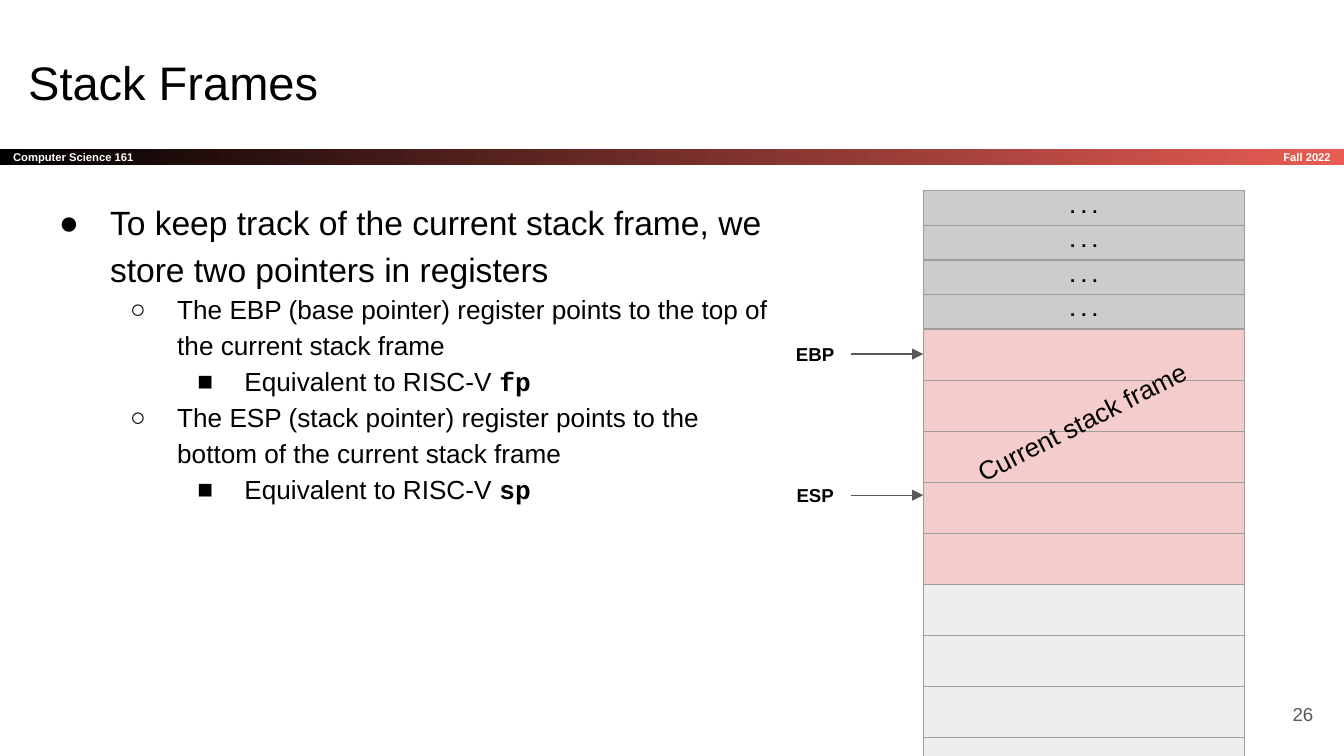
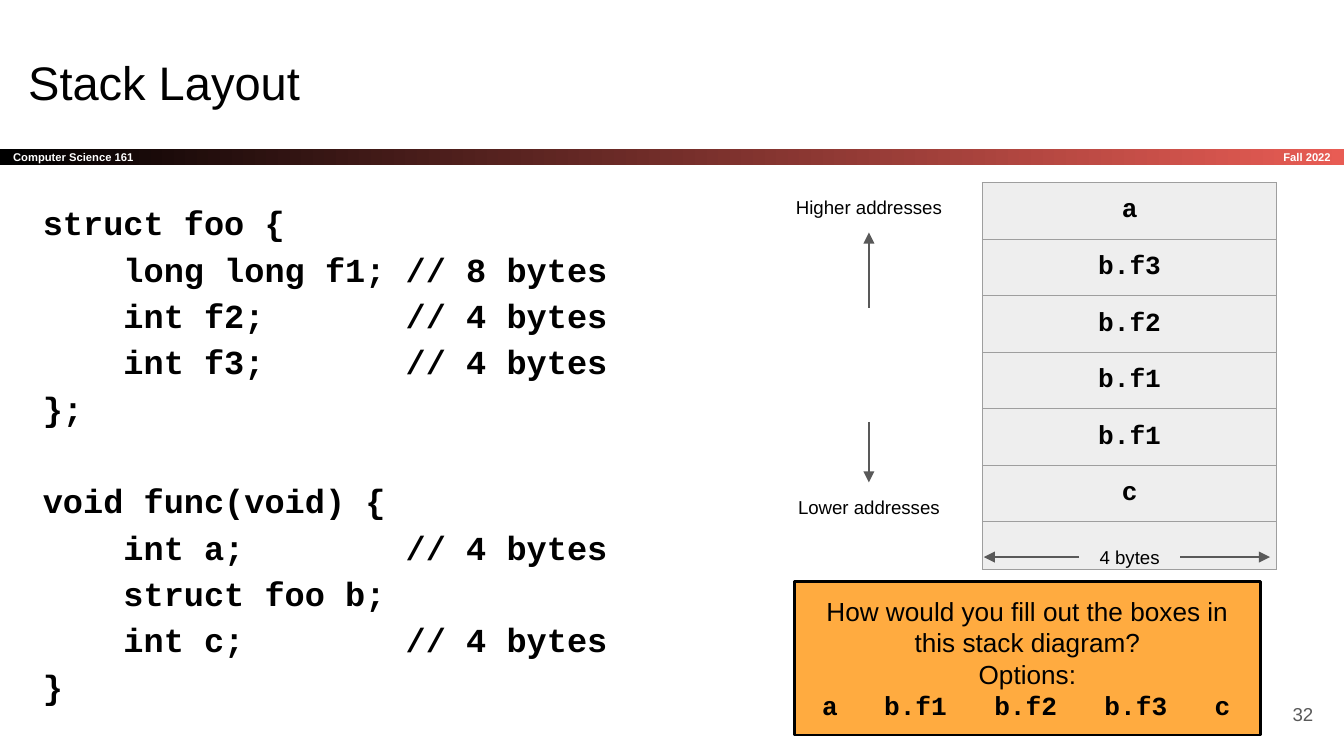
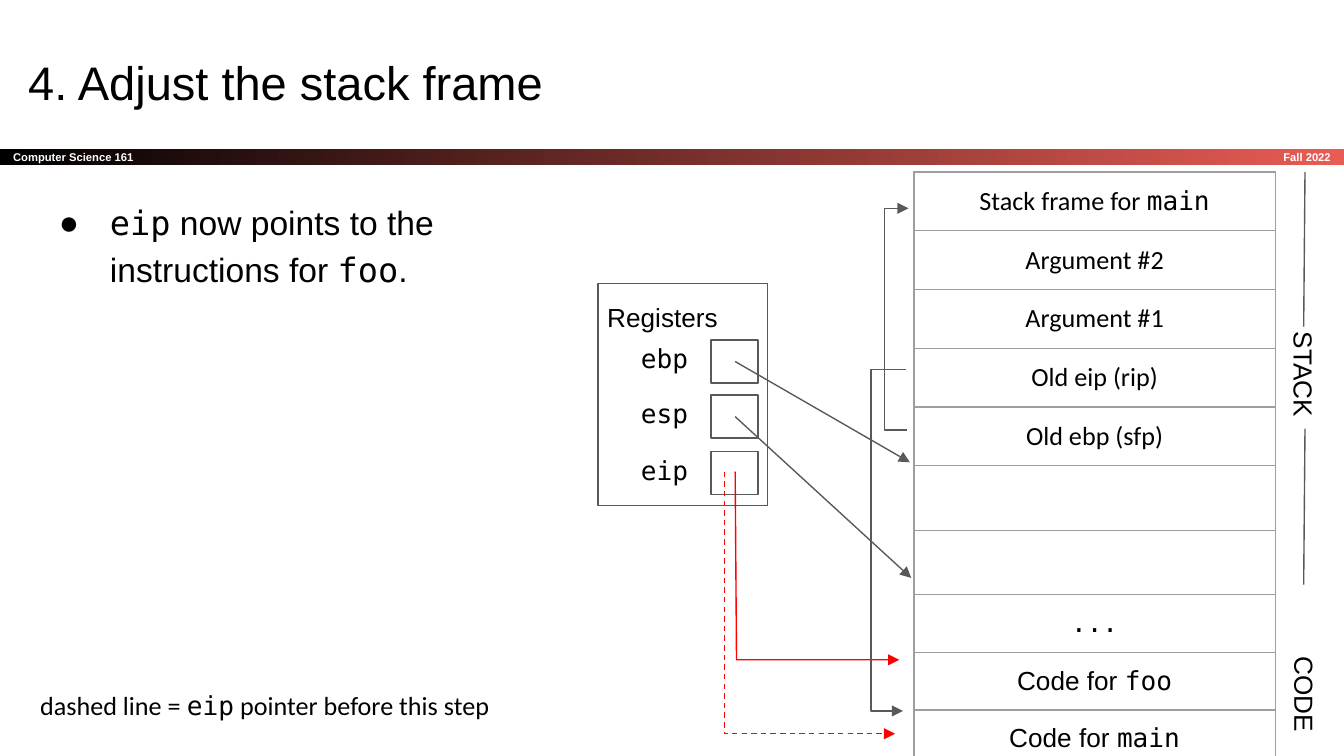
"""Builds three slides on stack frames, stack layout and call steps."""
from copy import deepcopy

from lxml.etree import SubElement
from pptx import Presentation
from pptx.dml.color import RGBColor
from pptx.enum.dml import MSO_LINE
from pptx.enum.shapes import MSO_CONNECTOR, MSO_SHAPE
from pptx.enum.text import MSO_ANCHOR as ANCHOR, MSO_AUTO_SIZE as FIT, PP_ALIGN as ALIGN
from pptx.oxml.ns import qn
from pptx.util import Inches, Pt

BLACK = RGBColor(0x00, 0x00, 0x00)
WHITE = RGBColor(0xFF, 0xFF, 0xFF)
CORAL = RGBColor(0xE8, 0x5C, 0x54)
SLATE = RGBColor(0x59, 0x59, 0x59)
EDGE = RGBColor(0x9E, 0x9E, 0x9E)
GREY = RGBColor(0xCC, 0xCC, 0xCC)
PALE = RGBColor(0xEE, 0xEE, 0xEE)
PINK = RGBColor(0xF4, 0xCC, 0xCC)
AMBER = RGBColor(0xFF, 0xAB, 0x40)
RED = RGBColor(0xFF, 0x00, 0x00)

SANS = "Arial"
COURIER = ("Courier New", True)
DEJAVU = ("DejaVu Sans Mono", False)
BULLETS = [("●", 0.5, -0.38, 18), ("○", 1, -0.35, 14), ("■", 1.5, -0.35, 14)]
TALL = 0.37


def mark(para, level):
    char, left, hang, size = BULLETS[level]
    para.level = level
    props = para._p.get_or_add_pPr()
    props.set("marL", str(Inches(left)))
    props.set("indent", str(Inches(hang)))
    color = SubElement(props, qn("a:buClr"))
    SubElement(color, qn("a:srgbClr"), val=str(BLACK))
    SubElement(props, qn("a:buSzPts"), val=str(size * 100))
    SubElement(props, qn("a:buFont"), typeface=SANS)
    SubElement(props, qn("a:buChar"), char=char)
    return size


def write(frame, lines, size=14, font=SANS, color=BLACK, bold=False, mono=COURIER,
          align=ALIGN.LEFT, anchor=ANCHOR.TOP, pad=0.1, space=None, after=None, tabs=()):
    """Fill a frame; text between backticks is set in the mono font."""
    frame.word_wrap = True
    frame.auto_size = FIT.NONE
    frame.vertical_anchor = anchor
    frame.margin_left = frame.margin_right = Inches(pad)
    frame.margin_top = frame.margin_bottom = Inches(pad)
    for i, line in enumerate(lines):
        para = frame.paragraphs[0] if i == 0 else frame.add_paragraph()
        level, line = line if isinstance(line, tuple) else (None, line)
        points = size if level is None else mark(para, level)
        para.alignment = align
        if "\t" in line:
            para.alignment = ALIGN.LEFT
            stops = SubElement(para._p.get_or_add_pPr(), qn("a:tabLst"))
            for stop in tabs:
                SubElement(stops, qn("a:tab"), pos=str(Inches(stop)), algn="l")
        if space:
            para.line_spacing = space
        if after:
            para.space_after = Pt(after)
        for j, piece in enumerate(line.split("`")):
            name, heavy = mono if j % 2 else (font, bold)
            for k, part in enumerate(piece.split("\n")):
                if k:
                    para.add_line_break()
                if part:
                    run = para.add_run()
                    run.text = part
                    run.font.name, run.font.bold = name, heavy
                    run.font.size = Pt(points)
                    run.font.color.rgb = color
        for gap in para._p.findall(qn("a:br")):
            gap.insert(0, deepcopy(run.font._element))
        if not line:
            SubElement(para._p, qn("a:endParaRPr"), sz=str(int(points * 100)))


class Deck:
    """Holds the shared style and the current slide."""

    def __init__(self):
        self.show = Presentation()
        self.show.slide_width = Inches(10)
        self.show.slide_height = Inches(10) * 9 // 16

    def page(self, title, number=None):
        self.slide = self.show.slides.add_slide(self.show.slide_layouts[5])
        self.shapes = self.slide.shapes
        head = self.shapes.title
        head.left, head.top = Inches(0.11), Inches(0.3)
        head.width, head.height = Inches(9.32), Inches(0.63)
        write(head.text_frame, [title], size=25.2)
        band = self.rect(0, 1.11, 10, 0.12)
        band.line.fill.background()
        band.fill.gradient()
        band.fill.gradient_angle = 0
        for i, color in enumerate((BLACK, CORAL)):
            stop = band.fill.gradient_stops[i]
            stop.color.rgb, stop.position = color, i
        label = dict(size=6, color=WHITE, bold=True, anchor=ANCHOR.MIDDLE)
        write(band.text_frame, ["Computer Science 161"], **label)
        self.text(8.34, 1.11, 1.66, 0.12, "Fall 2022", align=ALIGN.RIGHT, **label)
        if number:
            self.text(9.27, 5.1, 0.6, 0.43, str(number), size=10, color=SLATE,
                      align=ALIGN.RIGHT, anchor=ANCHOR.MIDDLE)

    def text(self, x, y, w, h, *lines, turn=0, **style):
        box = self.shapes.add_textbox(Inches(x), Inches(y), Inches(w), Inches(h))
        box.rotation = turn
        write(box.text_frame, lines, **style)
        return box

    def body(self, width, *lines, **style):
        return self.text(0.22, 1.36, width, 4.12, *lines, space=1.15, **style)

    def label(self, x, y, w, text, **style):
        return self.text(x, y, w, TALL, text, size=10, align=ALIGN.CENTER, **style)

    def rect(self, x, y, w, h, fill=None, edge=SLATE, width=0.75):
        box = self.shapes.add_shape(MSO_SHAPE.RECTANGLE, Inches(x), Inches(y),
                                    Inches(w), Inches(h))
        box.shadow.inherit = False
        if fill:
            box.fill.solid()
            box.fill.fore_color.rgb = fill
        else:
            box.fill.background()
        box.line.color.rgb, box.line.width = edge, Pt(width)
        return box

    def stroke(self, shape, color=SLATE, head=True, dash=False):
        shape.line.color.rgb, shape.line.width = color, Pt(0.75)
        if dash:
            shape.line.dash_style = MSO_LINE.DASH
        if head:
            line = shape._element.spPr.find(qn("a:ln"))
            SubElement(line, qn("a:tailEnd"), type="triangle")

    def line(self, start, end, first=None, last=None, head=True):
        link = self.shapes.add_connector(MSO_CONNECTOR.STRAIGHT,
                                         *map(Inches, (*start, *end)))
        if first:
            link.begin_connect(*first)
        if last:
            link.end_connect(*last)
        self.stroke(link, head=head)
        SubElement(link._element.spPr, qn("a:effectLst"))

    def route(self, *points, **style):
        start, *rest = [(Inches(x), Inches(y)) for x, y in points]
        pen = self.shapes.build_freeform(*start)
        pen.add_line_segments(rest, close=False)
        shape = pen.convert_to_shape()
        shape.shadow.inherit = False
        shape.fill.background()
        self.stroke(shape, **style)

    def stack(self, x, y, w, rows, pad=0.1, anchor=ANCHOR.TOP, **style):
        """Draw a one-column table from (text, height, fill, font) rows."""
        total = sum(row[1] for row in rows)
        table = self.shapes.add_table(len(rows), 1, Inches(x), Inches(y),
                                      Inches(w), Inches(total)).table
        table.first_row = table.horz_banding = False
        for i, (text, height, fill, font) in enumerate(rows):
            table.rows[i].height = Inches(height)
            cell = table.cell(i, 0)
            cell.margin_left = cell.margin_right = Inches(pad)
            cell.margin_top = cell.margin_bottom = Inches(pad)
            cell.vertical_anchor = anchor
            write(cell.text_frame, [text], font=font, align=ALIGN.CENTER, **style)
            props = cell._tc.get_or_add_tcPr()
            for side in ("L", "R", "T", "B"):
                edge = SubElement(props, qn("a:ln" + side), w=str(Pt(0.75)))
                paint = SubElement(edge, qn("a:solidFill"))
                SubElement(paint, qn("a:srgbClr"), val=str(EDGE))
            if fill:
                cell.fill.solid()
                cell.fill.fore_color.rgb = fill
            else:
                cell.fill.background()


def frames(deck):
    deck.page("Stack Frames", 26)
    deck.body(
        5.62,
        (0, "To keep track of the current stack frame, we store two pointers in registers"),
        (1, "The EBP (base pointer) register points to the top of the current stack frame"),
        (2, "Equivalent to RISC-V `fp`"),
        (1, "The ESP (stack pointer) register points to the bottom of the current stack frame"),
        (2, "Equivalent to RISC-V `sp`"))
    rows = [("`...`", 0.25, GREY, SANS)] * 4
    rows += [("", 0.38, PINK, SANS)] * 5 + [("", 0.38, PALE, SANS)] * 6
    deck.stack(6.87, 1.42, 2.39, rows, size=10, pad=0.05)
    for name, top in (("EBP", 2.45), ("ESP", 3.5)):
        box = deck.label(5.8, top, 0.53, name, bold=True)
        mid = top + TALL / 2
        deck.line((6.33, mid), (6.87, mid), first=(box, 3))
    deck.text(7.05, 2.92, 2, 0.44, "Current stack frame", turn=333.1, align=ALIGN.CENTER)


CODE = """struct foo {
    long long f1; // 8 bytes
    int f2;       // 4 bytes
    int f3;       // 4 bytes
};

void func(void) {
    int a;        // 4 bytes
    struct foo b;
    int c;        // 4 bytes
}"""


def layout(deck):
    deck.page("Stack Layout", 32)
    deck.body(5.62, CODE, size=18, font="Courier New", bold=True, after=12)
    names = ["a", "b.f3", "b.f2", "b.f1", "b.f1", "c"]
    deck.stack(7.31, 1.36, 2.19, [("", 0.48, PALE, SANS)] * len(names))
    deck.stack(7.31, 1.36, 2.19, [(f"`{name}`", 0.42, PALE, SANS) for name in names],
               anchor=ANCHOR.MIDDLE)
    quiz = deck.rect(5.91, 4.33, 3.47, 1.14, AMBER, BLACK, 1.5)
    write(quiz.text_frame,
          ["How would you fill out the boxes in this stack diagram?", "Options:",
           "`\ta\tb.f1\tb.f2\tb.f3\tc`"],
          align=ALIGN.CENTER, tabs=[0.11] + [0.57 + 0.82 * i for i in range(4)])
    mid = 5.78 + 1.37 / 2
    high = deck.label(5.78, 1.36, 1.37, "Higher addresses")
    deck.line((mid, 2.29), (mid, 1.73), last=(high, 2))
    low = deck.label(5.78, 3.59, 1.37, "Lower addresses")
    deck.line((mid, 3.14), (mid, 3.59), last=(low, 0))
    width = deck.label(8.03, 3.96, 0.75, "4 bytes")
    mid = 3.96 + TALL / 2
    deck.line((8.03, mid), (7.32, mid), first=(width, 1))
    deck.line((8.78, mid), (9.45, mid), first=(width, 3))


def adjust(deck):
    deck.page("4. Adjust the stack frame")
    deck.body(3.74, (0, "`eip` now points to the instructions for `foo`."), mono=DEJAVU)
    deck.text(9.28, 4.95, 0.86, 0.43, "CODE", turn=90, align=ALIGN.CENTER)
    deck.text(8.19, 2.57, 3.03, 0.43, "STACK", turn=90, align=ALIGN.CENTER)
    for top, end in ((1.28, 2.43), (3.19, 4.35)):
        deck.line((9.71, top), (9.7, end), head=False)
    deck.rect(4.45, 2.11, 1.26, 1.65)
    deck.text(4.42, 2.14, 1.26, 0.4, "Registers")
    for name, top in (("ebp", 2.53), ("esp", 2.94), ("eip", 3.36)):
        deck.rect(5.29, top, 0.35, 0.32)
        deck.text(4.67, top - 0.08, 0.57, 0.32, f"`{name}`", mono=DEJAVU)
    deck.line((5.47, 2.69), (6.77, 3.44))
    deck.line((5.47, 3.1), (6.78, 4.3))
    deck.route((5.47, 3.51), (5.48, 4.91), (6.69, 4.91), color=RED)
    deck.route((6.74, 2.75), (6.48, 2.75), (6.48, 5.29), (6.72, 5.29))
    deck.route((6.75, 3.2), (6.58, 3.2), (6.58, 1.55), (6.76, 1.55))
    names = ["Stack frame for `main`", "Argument #2", "Argument #1",
             "Old eip (rip)", "Old ebp (sfp)", "", "", "`...`"]
    rows = [(name, 0.43 if name else 0.48, None, "Calibri") for name in names]
    rows += [(f"Code for `{name}`", 0.42, None, SANS) for name in ("foo", "main")]
    deck.stack(6.8, 1.28, 2.69, rows, mono=DEJAVU)
    deck.text(0.2, 5.03, 3.83, 0.45, "dashed line = `eip` pointer before this step",
              font="Calibri", mono=DEJAVU)
    deck.route((5.39, 3.51), (5.39, 5.46), (6.66, 5.46), color=RED, dash=True)


def main():
    deck = Deck()
    for build in (frames, layout, adjust):
        build(deck)
    deck.show.save("out.pptx")


if __name__ == "__main__":
    main()
